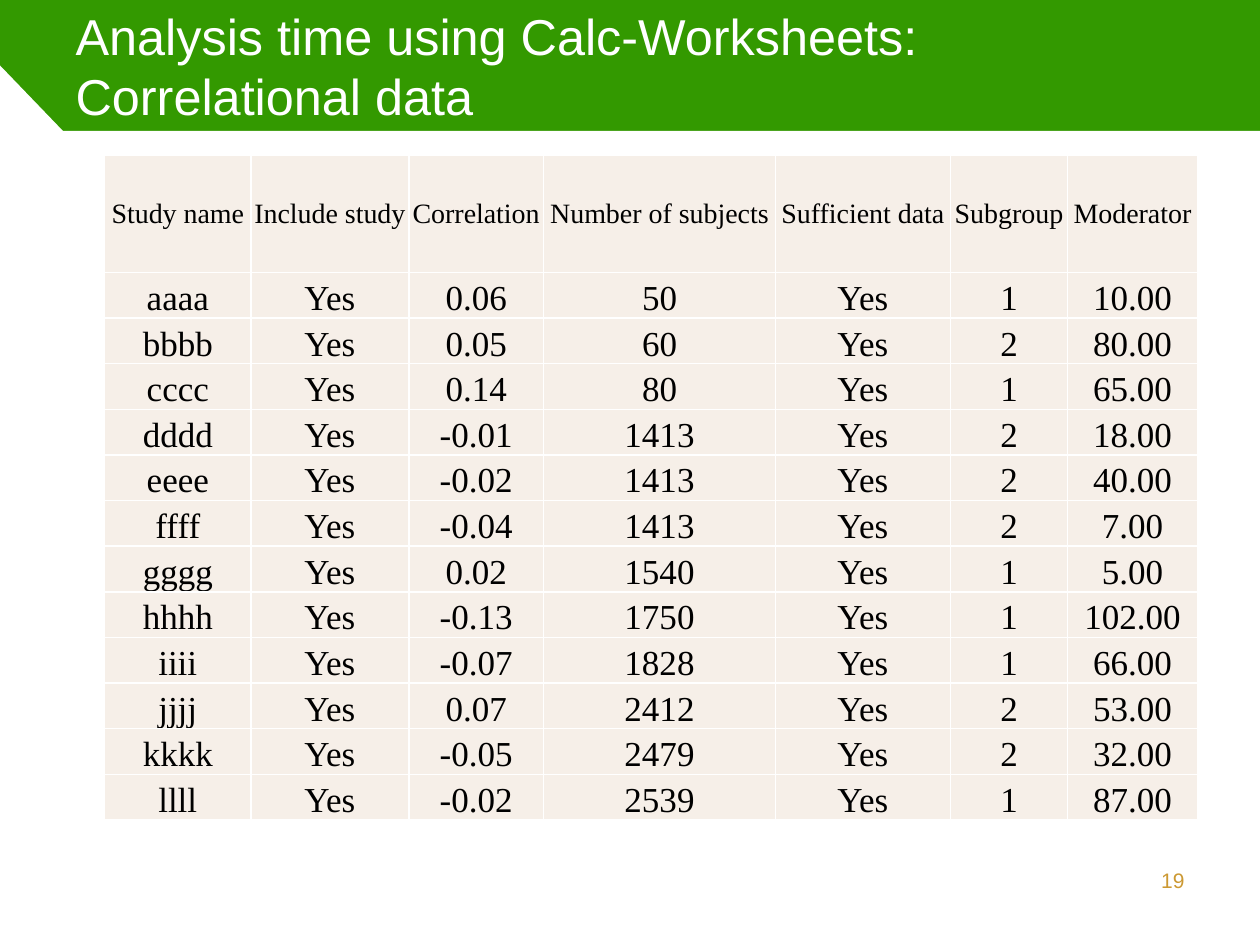
from dataclasses import dataclass
from typing import Any

from lxml.etree import SubElement
from pptx import Presentation
from pptx.dml.color import RGBColor
from pptx.enum.text import MSO_ANCHOR, MSO_AUTO_SIZE, PP_ALIGN
from pptx.oxml.ns import qn
from pptx.util import Cm, Pt

GREEN, WHITE, BLACK, CREAM, GOLD = "339900", "FFFFFF", "000000", "F6EFE8", "CC9933"
SLIDE_WIDTH, SLIDE_HEIGHT = 25.4, 19.05
HEADER_BOTTOM = 2.64
HEADER_ROW_HEIGHT, STUDY_ROW_HEIGHT = 2.36, 0.92


@dataclass(frozen=True)
class Column:
    heading: str
    width: float


@dataclass(frozen=True)
class Study:
    name: str
    correlation: str
    subjects: int
    subgroup: int
    moderator: str

    def values(self) -> list[str]:
        return [self.name, "Yes", self.correlation, str(self.subjects),
                "Yes", str(self.subgroup), self.moderator]


COLUMNS = [
    Column("Study name", 2.95),
    Column("Include study", 3.18),
    Column("Correlation", 2.72),
    Column("Number of subjects", 4.67),
    Column("Sufficient data", 3.53),
    Column("Subgroup", 2.36),
    Column("Moderator", 2.62),
]
STUDIES = [
    Study("aaaa", "0.06", 50, 1, "10.00"),
    Study("bbbb", "0.05", 60, 2, "80.00"),
    Study("cccc", "0.14", 80, 1, "65.00"),
    Study("dddd", "-0.01", 1413, 2, "18.00"),
    Study("eeee", "-0.02", 1413, 2, "40.00"),
    Study("ffff", "-0.04", 1413, 2, "7.00"),
    Study("gggg", "0.02", 1540, 1, "5.00"),
    Study("hhhh", "-0.13", 1750, 1, "102.00"),
    Study("iiii", "-0.07", 1828, 1, "66.00"),
    Study("jjjj", "0.07", 2412, 2, "53.00"),
    Study("kkkk", "-0.05", 2479, 2, "32.00"),
    Study("llll", "-0.02", 2539, 1, "87.00"),
]


def color(value: str) -> RGBColor:
    return RGBColor.from_string(value)


def apply(target: Any, values: dict[str, Any]) -> None:
    for name, value in values.items():
        setattr(target, name, value)


def write(frame: Any, text: str, font: str, size: float, text_color: str,
          alignment: PP_ALIGN) -> None:
    paragraph = frame.paragraphs[0]
    paragraph.alignment = alignment
    run = paragraph.add_run()
    run.text = text
    apply(run.font, {"name": font, "size": Pt(size)})
    run.font.color.rgb = color(text_color)


def draw_body_panel(slide: Any) -> None:
    builder = slide.shapes.build_freeform(Cm(1.27), Cm(HEADER_BOTTOM))
    corners = [(0, HEADER_BOTTOM / 2), (0, SLIDE_HEIGHT),
               (SLIDE_WIDTH, SLIDE_HEIGHT), (SLIDE_WIDTH, HEADER_BOTTOM)]
    builder.add_line_segments([(Cm(x), Cm(y)) for x, y in corners], close=True)
    panel = builder.convert_to_shape()
    panel.shadow.inherit = False
    panel.fill.solid()
    panel.fill.fore_color.rgb = color(WHITE)
    panel.line.fill.background()
    slide.shapes.title.element.addprevious(panel.element)


def draw_title(slide: Any, text: str) -> None:
    title = slide.shapes.title
    apply(title, {"left": Cm(1.27), "top": Cm(0),
                  "width": Cm(22.86), "height": Cm(HEADER_BOTTOM)})
    apply(title.text_frame, {"word_wrap": True, "auto_size": MSO_AUTO_SIZE.NONE,
                             "vertical_anchor": MSO_ANCHOR.MIDDLE})
    write(title.text_frame, text, "Arial", 28.8, WHITE, PP_ALIGN.LEFT)


def draw_borders(cell: Any) -> None:
    properties = cell._tc.get_or_add_tcPr()
    for position, side in enumerate(("a:lnL", "a:lnR", "a:lnT", "a:lnB")):
        line = SubElement(properties, qn(side), w=str(Pt(1)))
        fill = SubElement(line, qn("a:solidFill"))
        SubElement(fill, qn("a:srgbClr"), val=WHITE)
        properties.insert(position, line)


def draw_cell(cell: Any, text: str, size: float, anchor: MSO_ANCHOR) -> None:
    apply(cell, {"margin_left": 0, "margin_right": 0, "margin_top": 0,
                 "margin_bottom": 0, "vertical_anchor": anchor})
    cell.fill.solid()
    cell.fill.fore_color.rgb = color(CREAM)
    draw_borders(cell)
    write(cell.text_frame, text, "Times New Roman", size, BLACK, PP_ALIGN.CENTER)


def draw_study_table(slide: Any) -> None:
    width = sum(column.width for column in COLUMNS)
    height = HEADER_ROW_HEIGHT + STUDY_ROW_HEIGHT * len(STUDIES)
    table = slide.shapes.add_table(len(STUDIES) + 1, len(COLUMNS), Cm(2.11), Cm(3.13),
                                   Cm(width), Cm(height)).table
    apply(table, {"first_row": False, "horz_banding": False})
    for table_column, column in zip(table.columns, COLUMNS):
        table_column.width = Cm(column.width)
    rows = [[column.heading for column in COLUMNS]]
    rows += [study.values() for study in STUDIES]
    for index, (row, texts) in enumerate(zip(table.rows, rows)):
        row.height = Cm(STUDY_ROW_HEIGHT if index else HEADER_ROW_HEIGHT)
        size, anchor = (20, MSO_ANCHOR.BOTTOM) if index else (16, MSO_ANCHOR.MIDDLE)
        for cell, text in zip(row.cells, texts):
            draw_cell(cell, text, size, anchor)


def draw_page_number(slide: Any, number: int) -> None:
    frame = slide.shapes.add_textbox(Cm(21.97), Cm(17.37), Cm(2.16), Cm(1.02)).text_frame
    frame.word_wrap = True
    write(frame, str(number), "Arial", 12, GOLD, PP_ALIGN.RIGHT)


def main() -> None:
    presentation = Presentation()
    apply(presentation, {"slide_width": Cm(SLIDE_WIDTH), "slide_height": Cm(SLIDE_HEIGHT)})
    slide = presentation.slides.add_slide(presentation.slide_layouts.get_by_name("Title Only"))
    slide.background.fill.solid()
    slide.background.fill.fore_color.rgb = color(GREEN)
    draw_body_panel(slide)
    draw_title(slide, "Analysis time using Calc-Worksheets: Correlational data")
    draw_study_table(slide)
    draw_page_number(slide, 19)
    presentation.save("out.pptx")


if __name__ == "__main__":
    main()
